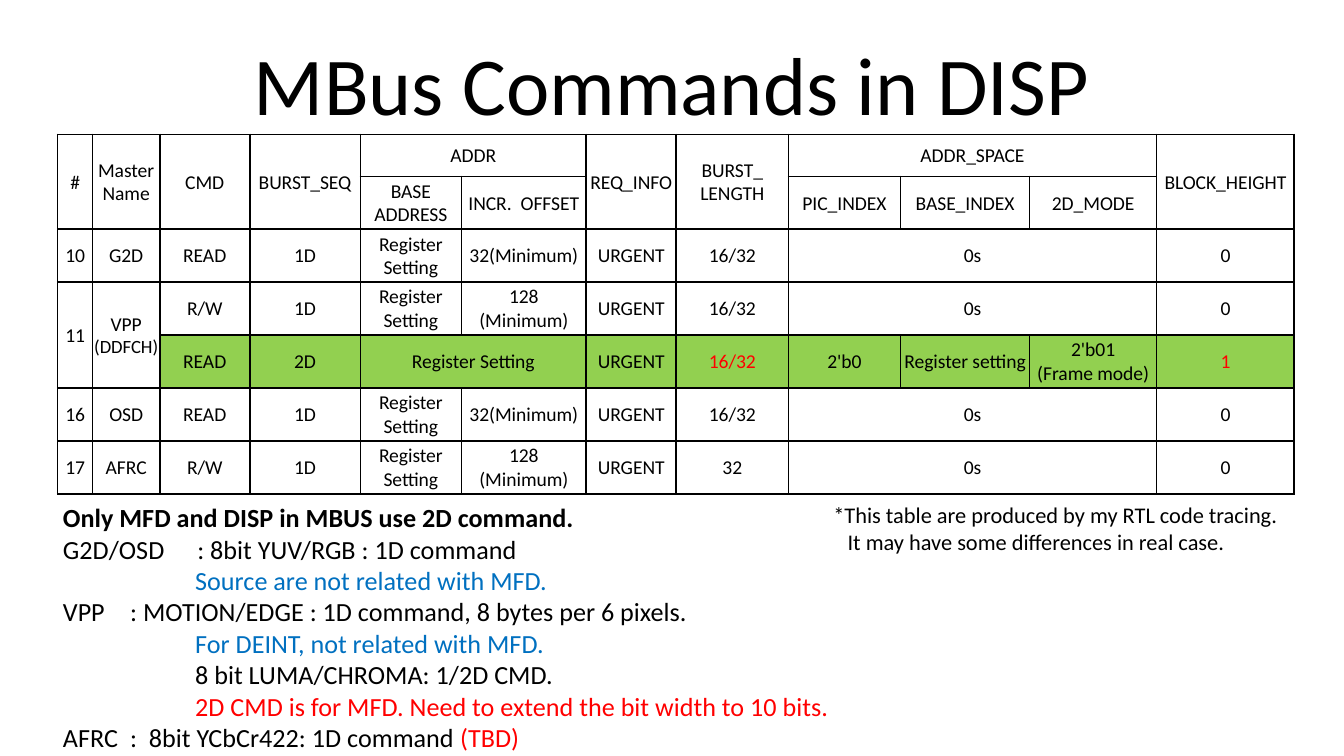
from lxml.etree import SubElement
from pptx import Presentation
from pptx.dml.color import RGBColor
from pptx.enum.text import MSO_ANCHOR as Anchor, PP_ALIGN as Align
from pptx.oxml import parse_xml
from pptx.oxml.ns import nsdecls, qn
from pptx.util import Cm, Pt

COLORS = {"text": "000000", "paper": "FFFFFF", "active": "92D050",
          "source": "0070C0", "alert": "FF0000"}
FONT = "Calibri"
LABEL_TAB = 2.13
DETAIL_INDENT = 2.5
COLUMNS = [0.66, 1.27, 1.7, 2.09, 1.91, 2.36, 1.7, 2.12, 2.12, 2.44, 2.4, 2.6]
ROWS = [0.79] + [1] * 6
ACTIVE_ROW = 4
ALERT_CELLS = {(ACTIVE_ROW, 7), (ACTIVE_ROW, 11)}
SMALL_TEXTS = {"(DDFCH)"}
MERGES = (
    [((0, col), (1, col)) for col in (0, 1, 2, 3, 6, 7, 11)]
    + [((0, 4), (0, 5)), ((0, 8), (0, 10))]
    + [((3, col), (4, col)) for col in (0, 1)]
    + [((row, 8), (row, 10)) for row in (2, 3, 5, 6)]
    + [((ACTIVE_ROW, 4), (ACTIVE_ROW, 5))]
)


def linear_row(number, master, command, offset, length="16/32"):
    """Return the cell texts of a 1D command."""
    return [number, master, command, "1D", "Register Setting", offset, "URGENT",
            length, "0s", None, None, "0"]


COMMANDS = [
    ["#", "Master Name", "CMD", "BURST_SEQ", "ADDR", None, "REQ_INFO",
     "BURST_\nLENGTH", "ADDR_SPACE", None, None, "BLOCK_HEIGHT"],
    [None, None, None, None, "BASE ADDRESS", "INCR.  OFFSET", None, None,
     "PIC_INDEX", "BASE_INDEX", "2D_MODE", None],
    linear_row("10", "G2D", "READ", "32(Minimum)"),
    linear_row("11", "VPP\n(DDFCH)", "R/W", "128 (Minimum)"),
    [None, None, "READ", "2D", "Register Setting", None, "URGENT", "16/32",
     "2'b0", "Register setting", "2'b01\n(Frame mode)", "1"],
    linear_row("16", "OSD", "READ", "32(Minimum)"),
    linear_row("17", "AFRC", "R/W", "128 (Minimum)", "32"),
]
NOTES = [
    (0, [("Only MFD and DISP in MBUS use 2D command.", {"bold": True})]),
    (0, [("G2D/OSD\t: 8bit YUV/RGB : 1D command", {})]),
    (DETAIL_INDENT, [("Source are not related with MFD.", {"color": "source"})]),
    (0, [("VPP\t: MOTION/EDGE : 1D command, 8 bytes per 6 pixels.", {})]),
    (DETAIL_INDENT, [("For DEINT, not related with MFD.", {"color": "source"})]),
    (DETAIL_INDENT, [("8 bit LUMA/CHROMA: 1/2D CMD.", {})]),
    (DETAIL_INDENT, [("2D CMD is for MFD. Need to extend the bit width to 10 bits.",
                      {"color": "alert"})]),
    (0, [("AFRC\t:  8bit YCbCr422: 1D command ", {}), ("(TBD)", {"color": "alert"})]),
]
REMARKS = [
    (0, [("*This table are produced by my RTL code tracing.", {})]),
    (0.27, [("It may have some differences in real case.", {})]),
]


def write(para, text, size, color="text", bold=False, align=None):
    """Add formatted text to a paragraph."""
    span = para.add_run()
    span.text = text
    span.font.name = FONT
    span.font.size = Pt(size)
    span.font.bold = bold
    span.font.color.rgb = RGBColor.from_string(COLORS[color])
    if align is not None:
        para.alignment = align


def paragraphs(frame, count):
    """Return the given number of paragraphs of an empty text frame."""
    return [frame.paragraphs[0]] + [frame.add_paragraph() for _ in range(count - 1)]


def outline_cell(cell):
    """Draw a thin line on the four sides of a cell."""
    properties = cell._tc.get_or_add_tcPr()
    for index, side in enumerate(("lnL", "lnR", "lnT", "lnB")):
        properties.insert(index, parse_xml(
            f'<a:{side} {nsdecls("a")} w="{Pt(1)}"><a:solidFill>'
            f'<a:srgbClr val="{COLORS["text"]}"/></a:solidFill></a:{side}>'))


def add_title(page, box):
    """Place the page title in its placeholder."""
    title = page.shapes.title
    title.left, title.top, title.width, title.height = map(Cm, box)
    title.text_frame.vertical_anchor = Anchor.MIDDLE
    write(title.text_frame.paragraphs[0], "MBus Commands in DISP", 44, align=Align.CENTER)


def fill_cell(cell, text, fill, color):
    """Format one table cell and write its lines."""
    cell.margin_left = cell.margin_right = cell.margin_top = Cm(0.02)
    cell.margin_bottom = 0
    cell.vertical_anchor = Anchor.MIDDLE
    cell.fill.solid()
    cell.fill.fore_color.rgb = RGBColor.from_string(COLORS[fill])
    outline_cell(cell)
    lines = (text or "").split("\n")
    for para, line in zip(paragraphs(cell.text_frame, len(lines)), lines):
        para.font.size = Pt(10.5)
        if line:
            size = 10 if line in SMALL_TEXTS else 10.5
            write(para, line, size, color, align=Align.CENTER)


def add_command_table(page, box):
    """Place the table of bus commands."""
    table = page.shapes.add_table(len(ROWS), len(COLUMNS), *map(Cm, box)).table
    for column, width in zip(table.columns, COLUMNS):
        column.width = Cm(width)
    for row, height in zip(table.rows, ROWS):
        row.height = Cm(height)
    for row, texts in enumerate(COMMANDS):
        for col, text in enumerate(texts):
            active = row == ACTIVE_ROW and col > 1
            color = "alert" if (row, col) in ALERT_CELLS else "text"
            fill_cell(table.cell(row, col), text, "active" if active else "paper", color)
    for first, last in MERGES:
        table.cell(*first).merge(table.cell(*last))


def add_notes(page, box, lines, size, wrap=True):
    """Place a text box of indented lines with a tab after each label."""
    frame = page.shapes.add_textbox(*map(Cm, box)).text_frame
    frame.word_wrap = wrap
    for para, (indent, spans) in zip(paragraphs(frame, len(lines)), lines):
        properties = para._p.get_or_add_pPr()
        properties.set("marL", str(Cm(indent)))
        properties.set("indent", "0")
        if "\t" in spans[0][0]:
            tabs = SubElement(properties, qn("a:tabLst"))
            SubElement(tabs, qn("a:tab"), pos=str(Cm(LABEL_TAB)), algn="l")
        for text, style in spans:
            write(para, text, size, **style)


def main():
    """Build and save the deck."""
    deck = Presentation()
    deck.slide_width, deck.slide_height = Cm(25.4), Cm(14.28)
    page = deck.slides.add_slide(deck.slide_layouts[5])
    add_title(page, (1.27, 0.36, 22.86, 2.39))
    add_command_table(page, (1.09, 2.54, sum(COLUMNS), sum(ROWS)))
    add_notes(page, (0.94, 9.35, 23.4, 5.05), NOTES, 14)
    add_notes(page, (15.5, 9.35, 9.1, 1.27), REMARKS, 12, wrap=False)
    deck.save("out.pptx")


if __name__ == "__main__":
    main()
